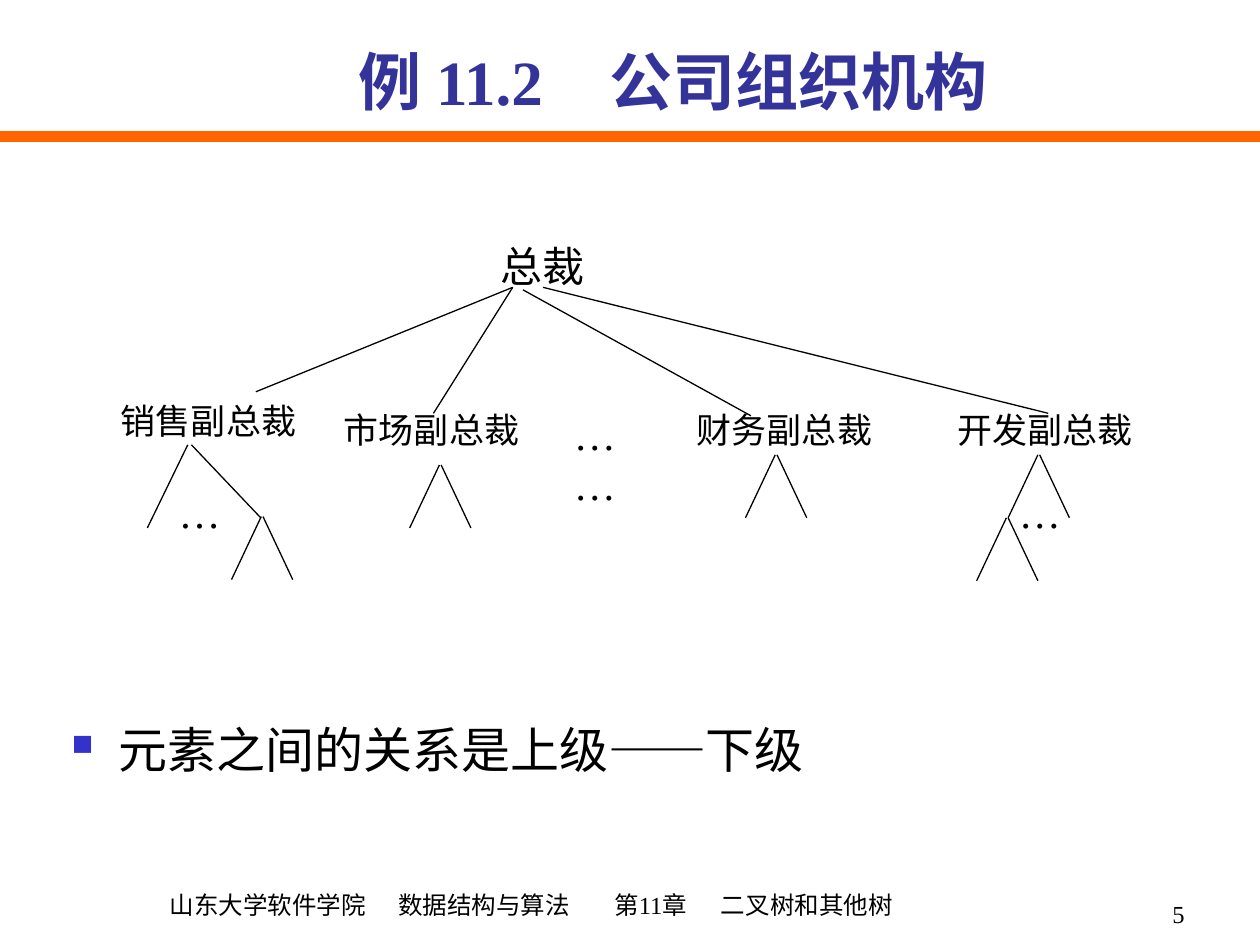
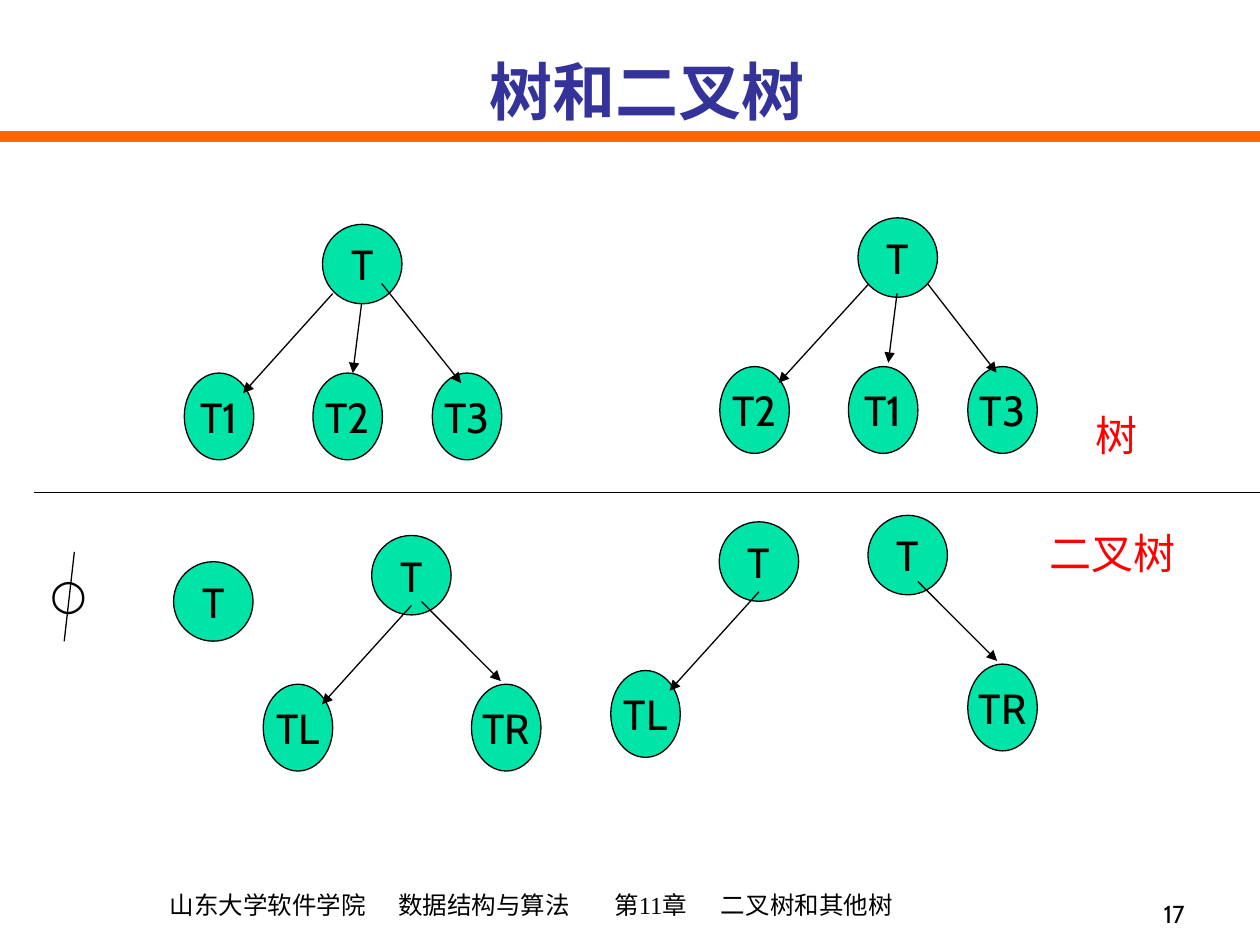
from lxml import etree
from pptx import Presentation
from pptx import util as u
from pptx.dml.color import RGBColor
from pptx.enum import shapes, text
from pptx.oxml.ns import qn

COLORS = {"title": "333399", "band": "FF6600", "ink": "000000",
          "bullet": "3333CC", "node": "00E4A8", "label": "FF0000"}
SERIF, SANS = "Times New Roman", "Cabin"
LEFT, CENTER, RIGHT = text.PP_ALIGN.LEFT, text.PP_ALIGN.CENTER, text.PP_ALIGN.RIGHT
TOP, BOTTOM = text.MSO_ANCHOR.TOP, text.MSO_ANCHOR.BOTTOM


def add_text(page, place, words, size, font=SERIF, color="ink", align=CENTER, anchor=TOP,
             bold=False, wrap=True, margins=(7.2, 3.6), tabs=()):
    box = page.shapes.add_textbox(*map(u.Pt, place))
    frame = box.text_frame
    frame.word_wrap = wrap
    frame.vertical_anchor = anchor
    frame.margin_left, frame.margin_top = map(u.Pt, margins)
    frame.margin_right, frame.margin_bottom = u.Pt(min(margins[0], 7.2)), u.Pt(margins[1])
    para = frame.paragraphs[0]
    para.text = words
    para.alignment = align
    if tabs:
        stops = etree.SubElement(para._p.get_or_add_pPr(), qn("a:tabLst"))
        for stop in tabs:
            etree.SubElement(stops, qn("a:tab"), pos=str(u.Pt(stop)), algn="l")
    para.font.name, para.font.size, para.font.bold = font, u.Pt(size), bold
    para.font.color.rgb = RGBColor.from_string(COLORS[color])
    return para


def add_line(page, start, end, color="ink", width=0.75, arrow=False):
    line = page.shapes.add_connector(shapes.MSO_CONNECTOR.STRAIGHT, *map(u.Pt, (*start, *end)))
    line.line.color.rgb = RGBColor.from_string(COLORS[color])
    line.line.width = u.Pt(width)
    if arrow:
        etree.SubElement(line.line._get_or_add_ln(), qn("a:tailEnd"), type="triangle")
    etree.SubElement(line._element.spPr, qn("a:effectLst"))


deck = Presentation()
deck.slide_width, deck.slide_height = u.Pt(720), u.Pt(540)
pages = []
for number, number_font in (("5", SERIF), ("17", SANS)):
    page = deck.slides.add_slide(deck.slide_layouts[6])
    add_line(page, (0, 78), (720, 78), "band", 6)
    add_text(page, (44, 493.2, 520.5, 36), "山东大学软件学院\t数据结构与算法\t第11章\t二叉树和其他树",
             14, align=LEFT, anchor=BOTTOM, margins=(53, 3.6), tabs=(130.5, 254, 315))
    add_text(page, (534.3, 498.2, 149.7, 36), number, 14, number_font, align=RIGHT, anchor=BOTTOM)
    pages.append(page)
company, trees = pages

add_text(company, (83.5, 0, 602, 71.3), "例 11.2\t公司组织机构", 36, color="title", align=LEFT,
         anchor=BOTTOM, bold=True, margins=(121.5, 3.6), tabs=(143.5,))
add_text(company, (247.7, 133.9, 124.5, 36), "总裁", 24)
for post, left, top, width in (("销售副总裁", 48.2, 224.6, 142), ("市场副总裁", 178.6, 229.7, 136),
                               ("财务副总裁", 377.3, 229.7, 142), ("开发副总裁", 529.2, 229.7, 136)):
    add_text(company, (left, top, width, 31.7), post, 20)
add_text(company, (308.9, 229.7, 62, 36), "……", 24)
for left in (97.2, 577.4):
    add_text(company, (left, 277.9, 33.8, 28.8), "…", 24, margins=(0, 0))
for start, end in (((293, 164.2), (146.2, 223.9)), ((293, 164.2), (247.7, 236.2)),
                   ((298.8, 165.6), (429.1, 237.6)), ((310.3, 164.2), (599, 236.2)),
                   ((107.3, 254.2), (84.2, 301.7)), ((109.4, 254.2), (149, 295.9))):
    add_line(company, start, end)
for x, y in ((251.6, 265.7), (443.5, 259.9), (593.6, 259.9), (575.6, 295.9), (149.8, 295.2)):
    for side in (-1, 1):
        add_line(company, (x + side * 0.5, y), (x + side * 17.5, y + 36))
relation = add_text(company, (33.8, 407.5, 675.4, 63.4), "元素之间的关系是上级——下级", 28, align=LEFT)
props = relation._p.get_or_add_pPr()
props.set("marL", str(u.Pt(27)))
props.set("indent", str(u.Pt(-27)))
bullet_color = etree.Element(qn("a:buClr"))
etree.SubElement(bullet_color, qn("a:srgbClr"), val=COLORS["bullet"])
bullet_size = etree.Element(qn("a:buSzPct"), val="60000")
bullet_char = etree.Element(qn("a:buChar"), char="■")
for index, part in enumerate((bullet_color, bullet_size, bullet_char)):
    props.insert(index, part)

add_text(trees, (64, 5, 612, 72), "树和二叉树", 36, color="title", anchor=BOTTOM, bold=True)
CHILD_DROP = 85
to_left = ("TL", -62, (22.7, 40), (-28.4, 96.5))
to_right = ("TR", 57, (28.5, 37.8), (73.8, 83.2))
forest = (
    ((184.3, 128.2), (("T1", -79, (5.8, 39.6), (-45.4, 96.5)), ("T2", -5.5, (22.3, 45.4), (17.3, 85)),
                      ("T3", 62.7, (33.8, 33.8), (79.2, 90.7)))),
    ((490.3, 124.5), (("T2", -79, (5.8, 38.1), (-45.4, 94.3)), ("T1", -5.5, (22.3, 43.2), (17.3, 82.8)),
                      ("T3", 62.7, (39.6, 37.4), (79.2, 88.5)))),
    ((212.4, 306), (to_left, to_right)),
    ((99.2, 321), ()),
    ((411, 298.2), (to_left,)),
    ((496, 294.5), (to_right,)),
)
for (x, y), children in forest:
    nodes = [("T", x, y, 45.4, 45.4)]
    nodes += [(name, x + shift, y + CHILD_DROP, 39.7, 49.6) for name, shift, _, _ in children]
    for name, *place in nodes:
        node = trees.shapes.add_shape(shapes.MSO_SHAPE.OVAL, *map(u.Pt, place))
        node.shadow.inherit = False
        node.fill.solid()
        node.fill.fore_color.rgb = RGBColor.from_string(COLORS["node"])
        node.line.color.rgb = RGBColor.from_string(COLORS["ink"])
        node.line.width = u.Pt(0.75)
        node.text_frame.word_wrap = False
        node.text_frame.vertical_anchor = text.MSO_ANCHOR.MIDDLE
        para = node.text_frame.paragraphs[0]
        para.text = name
        para.alignment = CENTER
        para.font.name, para.font.size = SANS, u.Pt(24)
        para.font.color.rgb = RGBColor.from_string(COLORS["ink"])
    for _, _, start, end in children:
        add_line(trees, (x + start[0], y + start[1]), (x + end[0], y + end[1]), arrow=True)

add_text(trees, (21.6, 321, 35.3, 36), "○", 24, SANS, align=LEFT, wrap=False)
add_line(trees, (42.5, 315.4), (36.7, 366.5))
add_line(trees, (19.6, 281.4), (720, 281.4))
add_text(trees, (619.2, 230.4, 38.2, 36), "树", 24, SANS, "label", LEFT, wrap=False)
add_text(trees, (592.6, 298, 120.2, 36), "二叉树", 24, SANS, "label", LEFT)

deck.save("out.pptx")
